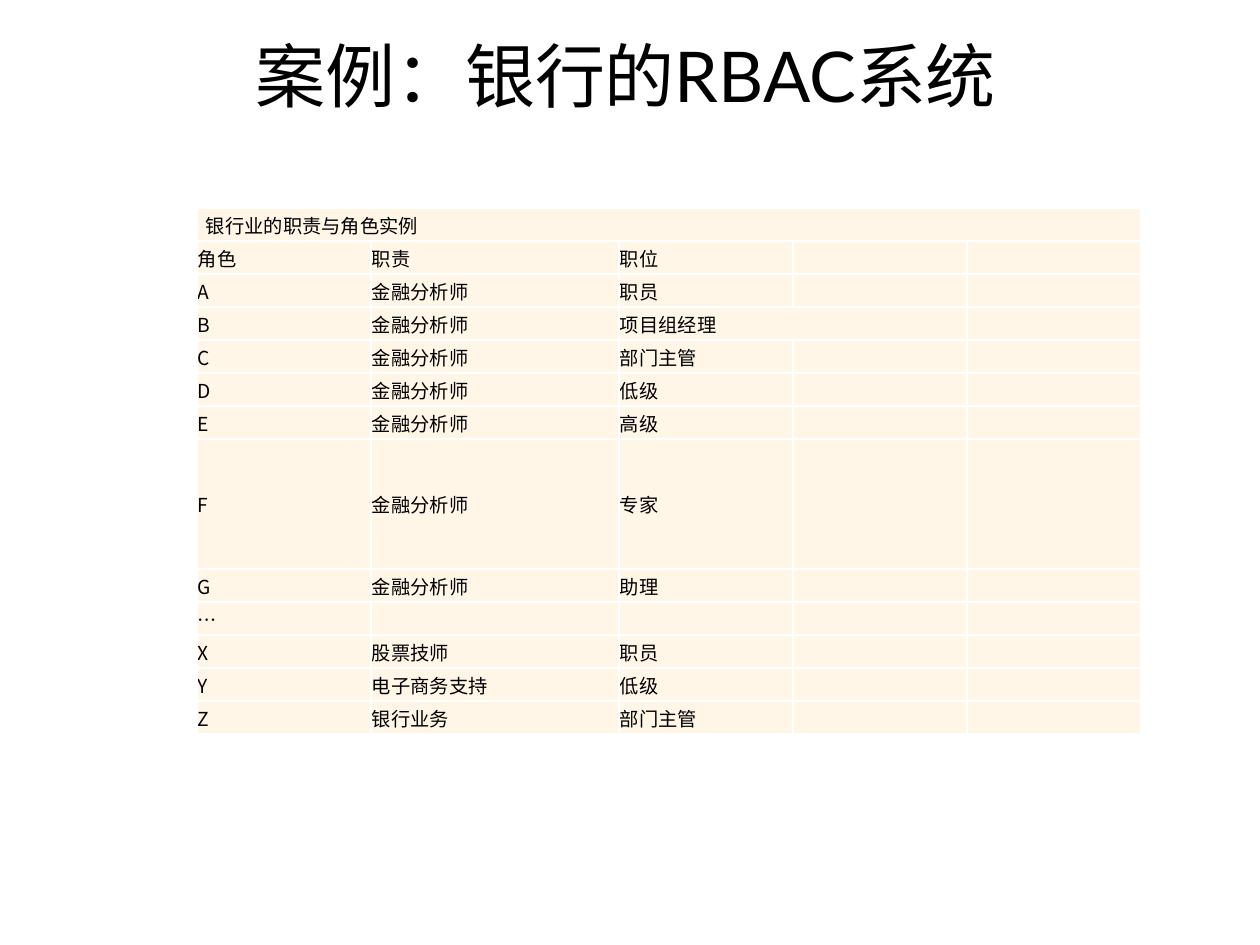
from lxml.etree import SubElement
from pptx import Presentation
from pptx.dml.color import RGBColor
from pptx.enum.text import MSO_ANCHOR as Anchor, MSO_AUTO_SIZE as AutoSize
from pptx.oxml.ns import qn
from pptx.util import Emu, Pt

PX_PER_INCH = 126
COLORS = {"text": "000000", "cell": "FFF6E7", "border": "FFFFFF"}
LATIN, CJK = "Lato", "Noto Sans CJK SC"

COL_WIDTHS = [174, 248, 174, 174, 174]
ROW_HEIGHT, TALL_ROW_HEIGHT = 33, 130
CAPTION = "银行业的职责与角色实例"
ANALYST = "金融分析师"
ROLES = [
    ("角色", "职责", "职位"),
    ("A", ANALYST, "职员"),
    ("B", ANALYST, "项目组经理"),
    ("C", ANALYST, "部门主管"),
    ("D", ANALYST, "低级"),
    ("E", ANALYST, "高级"),
    ("F", ANALYST, "专家"),
    ("G", ANALYST, "助理"),
    ("…",),
    ("X", "股票技师", "职员"),
    ("Y", "电子商务支持", "低级"),
    ("Z", "银行业务", "部门主管"),
]


def px(n):
    return Emu(round(n * 914400 / PX_PER_INCH))


def color(name):
    return RGBColor.from_string(COLORS[name])


def format_run(r, size, latin):
    r.font.size = Pt(size)
    r.font.name = latin
    r.font.color.rgb = color("text")
    SubElement(r.font._element, qn("a:ea"), typeface=CJK)


def add_title(slide, text):
    tf = slide.shapes.add_textbox(px(243), px(47), px(994), px(77)).text_frame
    tf.word_wrap = True
    tf.auto_size = AutoSize.SHAPE_TO_FIT_TEXT
    tf.text = text
    p = tf.paragraphs[0]
    p.line_spacing = Pt(36)
    p.space_after = Pt(12)
    format_run(p.runs[0], 40, LATIN)


def set_borders(cell):
    # Border lines must come before the fill in the cell properties
    tc_pr = cell._tc.get_or_add_tcPr()
    for side in ("lnL", "lnR", "lnT", "lnB"):
        ln = SubElement(tc_pr, qn(f"a:{side}"), w=str(Pt(1)))
        fill = SubElement(ln, qn("a:solidFill"))
        SubElement(fill, qn("a:srgbClr"), val=COLORS["border"])


def style_cell(cell, text):
    set_borders(cell)
    cell.fill.solid()
    cell.fill.fore_color.rgb = color("cell")
    cell.vertical_anchor = Anchor.MIDDLE
    cell.margin_left = cell.margin_right = cell.margin_top = px(1)
    cell.margin_bottom = 0
    p = cell.text_frame.paragraphs[0]
    if text:
        p.text = text
        format_run(p.runs[0], 11, CJK)
    else:
        # Keeps an empty cell from stretching its row
        SubElement(p._p, qn("a:endParaRPr"), sz="1100")


def add_role_table(slide):
    rows = [(CAPTION,)] + ROLES
    heights = [TALL_ROW_HEIGHT if row[0] == "F" else ROW_HEIGHT for row in rows]
    table = slide.shapes.add_table(
        len(rows), len(COL_WIDTHS), px(197), px(208),
        px(sum(COL_WIDTHS)), px(sum(heights))).table
    table.first_row = table.horz_banding = False
    for col, width in zip(table.columns, COL_WIDTHS):
        col.width = px(width)
    for i, (row, height) in enumerate(zip(rows, heights)):
        table.rows[i].height = px(height)
        for j in range(len(COL_WIDTHS)):
            style_cell(table.cell(i, j), row[j] if j < len(row) else "")

    # Caption across the table, and the wide position in row B
    caption = table.cell(0, 0)
    caption.merge(table.cell(0, len(COL_WIDTHS) - 1))
    caption.margin_left = px(9)
    table.cell(3, 2).merge(table.cell(3, 3))


def main():
    prs = Presentation()
    prs.slide_width, prs.slide_height = px(1260), px(945)
    slide = prs.slides.add_slide(prs.slide_layouts[6])
    add_title(slide, "案例：银行的RBAC系统")
    add_role_table(slide)
    prs.save("out.pptx")


if __name__ == "__main__":
    main()
